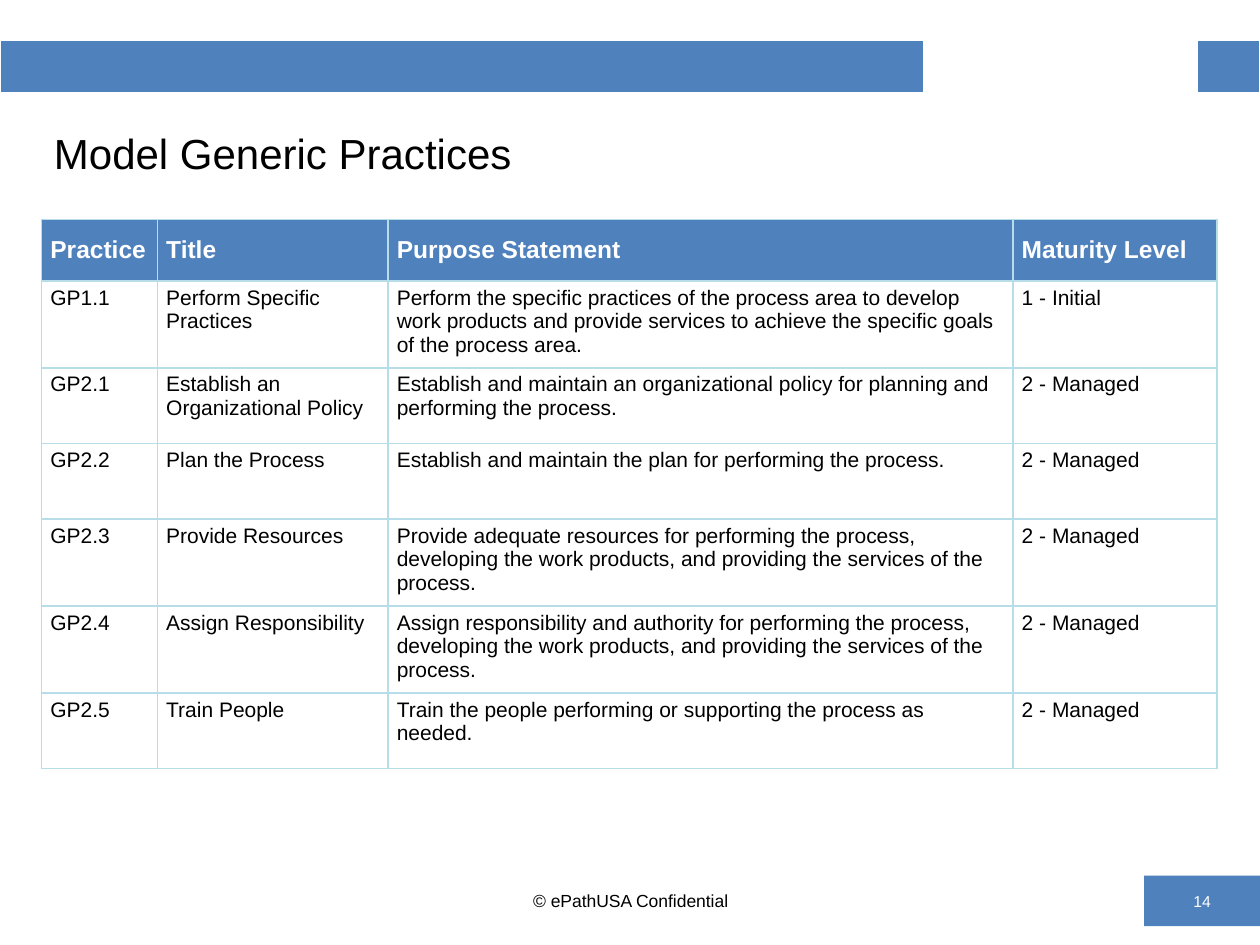
"""Build the Model Generic Practices slide."""
from dataclasses import dataclass

from lxml import etree
from pptx import Presentation
from pptx.dml.color import RGBColor
from pptx.enum.shapes import MSO_SHAPE
from pptx.enum.text import MSO_ANCHOR, PP_ALIGN
from pptx.oxml.ns import qn
from pptx.slide import Slide
from pptx.table import Table, _Cell
from pptx.text.text import TextFrame
from pptx.util import Inches, Pt

RECTANGLE = MSO_SHAPE.RECTANGLE
MIDDLE, TOP = MSO_ANCHOR.MIDDLE, MSO_ANCHOR.TOP
LEFT, CENTER = PP_ALIGN.LEFT, PP_ALIGN.CENTER
FONT = "Arial"
COLORS = {"blue": "4F81BD", "pale": "B7DEE8", "white": "FFFFFF", "black": "000000"}


@dataclass(frozen=True)
class Area:
    left: float
    top: float
    width: float
    height: float


@dataclass(frozen=True)
class TextStyle:
    size: int
    color: str = "black"
    bold: bool = False
    align: PP_ALIGN = LEFT
    anchor: MSO_ANCHOR = MIDDLE


@dataclass(frozen=True)
class Label:
    text: str
    area: Area
    style: TextStyle


@dataclass(frozen=True)
class Practice:
    code: str
    title: str
    purpose: str
    level: str = "2 - Managed"

    def texts(self) -> tuple[str, ...]:
        return self.code, self.title, self.purpose, self.level


HEADER_STYLE = TextStyle(14, "white", bold=True)
BODY_STYLE = TextStyle(12, anchor=TOP)
NUMBER_STYLE = TextStyle(9, "white", align=CENTER)
LABELS = (
    Label("Model Generic Practices", Area(0.33, 0.85, 9.33, 0.73), TextStyle(24)),
    Label("© ePathUSA Confidential", Area(3.42, 6.95, 3.17, 0.4), TextStyle(10, align=CENTER)),
)
HEADINGS = ("Practice", "Title", "Purpose Statement", "Maturity Level")
PRACTICES = (
    Practice(
        "GP1.1",
        "Perform Specific Practices",
        "Perform the specific practices of the process area to develop work products "
        "and provide services to achieve the specific goals of the process area.",
        "1 - Initial",
    ),
    Practice(
        "GP2.1",
        "Establish an Organizational Policy",
        "Establish and maintain an organizational policy for planning and performing the process.",
    ),
    Practice(
        "GP2.2",
        "Plan the Process",
        "Establish and maintain the plan for performing the process.",
    ),
    Practice(
        "GP2.3",
        "Provide Resources",
        "Provide adequate resources for performing the process, developing the work "
        "products, and providing the services of the process.",
    ),
    Practice(
        "GP2.4",
        "Assign Responsibility",
        "Assign responsibility and authority for performing the process, developing the "
        "work products, and providing the services of the process.",
    ),
    Practice(
        "GP2.5",
        "Train People",
        "Train the people performing or supporting the process as needed.",
    ),
)
BANNER_WIDTHS = (7.33, 2.17, 0.5)
PRACTICE_WIDTHS = (0.92, 1.83, 4.96, 1.62)
PRACTICE_HEIGHTS = (0.49, 0.69, 0.6, 0.6, 0.69, 0.69, 0.6)


def rgb(name: str) -> RGBColor:
    """Return a named colour."""
    return RGBColor.from_string(COLORS[name])


def write_text(frame: TextFrame, text: str, style: TextStyle) -> None:
    """Set the text of a frame and format it."""
    frame.text = text
    para = frame.paragraphs[0]
    para.alignment = style.align
    font = para.runs[0].font
    font.name, font.size, font.bold = FONT, Pt(style.size), style.bold
    font.color.rgb = rgb(style.color)


def add_label(slide: Slide, label: Label) -> None:
    """Add a wrapped text box."""
    area = label.area
    box = slide.shapes.add_textbox(
        Inches(area.left), Inches(area.top), Inches(area.width), Inches(area.height)
    )
    box.text_frame.word_wrap = True
    box.text_frame.vertical_anchor = label.style.anchor
    write_text(box.text_frame, label.text, label.style)


def add_page_number(slide: Slide, text: str) -> None:
    """Add the filled page number box."""
    box = slide.shapes.add_shape(
        RECTANGLE, Inches(9.08), Inches(6.95), Inches(0.92), Inches(0.4)
    )
    box.shadow.inherit = False
    box.fill.solid()
    box.fill.fore_color.rgb = rgb("blue")
    box.line.fill.background()
    box.text_frame.vertical_anchor = MIDDLE
    write_text(box.text_frame, text, NUMBER_STYLE)


def add_grid(
    slide: Slide, left: float, top: float, widths: tuple[float, ...], heights: tuple[float, ...]
) -> Table:
    """Add a table without banding and size its columns and rows."""
    table = slide.shapes.add_table(
        len(heights), len(widths),
        Inches(left), Inches(top), Inches(sum(widths)), Inches(sum(heights)),
    ).table
    table.first_row = table.horz_banding = False
    for column, width in zip(table.columns, widths):
        column.width = Inches(width)
    for row, height in zip(table.rows, heights):
        row.height = Inches(height)
    return table


def paint_cell(cell: _Cell, filled: bool, border: str, bottom: int = 1) -> None:
    """Give a cell its borders and its fill."""
    properties = cell._tc.get_or_add_tcPr()
    for side, points in (("L", 1), ("R", 1), ("T", 1), ("B", bottom)):
        line = etree.SubElement(properties, qn(f"a:ln{side}"), w=str(Pt(points)))
        solid = etree.SubElement(line, qn("a:solidFill"))
        etree.SubElement(solid, qn("a:srgbClr"), val=COLORS[border])
    if filled:
        cell.fill.solid()
        cell.fill.fore_color.rgb = rgb("blue")
    else:
        cell.fill.background()


def add_banner(slide: Slide) -> None:
    """Add the band across the top of the slide."""
    banner = add_grid(slide, 0, 0.32, BANNER_WIDTHS, (0.43,))
    for cell, filled in zip(banner.iter_cells(), (True, False, True)):
        paint_cell(cell, filled, "white", bottom=3)


def add_practices(slide: Slide) -> None:
    """Add the table of generic practices."""
    table = add_grid(slide, 0.33, 1.74, PRACTICE_WIDTHS, PRACTICE_HEIGHTS)
    rows = (HEADINGS, *(practice.texts() for practice in PRACTICES))
    for row_index, texts in enumerate(rows):
        is_header = row_index == 0
        style = HEADER_STYLE if is_header else BODY_STYLE
        for cell, text in zip(table.rows[row_index].cells, texts):
            cell.margin_left = cell.margin_right = Inches(0.07)
            cell.margin_top = cell.margin_bottom = Inches(0.04)
            cell.vertical_anchor = style.anchor
            write_text(cell.text_frame, text, style)
            paint_cell(cell, is_header, "pale")


def main() -> None:
    """Build and save the deck."""
    deck = Presentation()
    deck.slide_width, deck.slide_height = Inches(10), Inches(7.5)
    page = deck.slides.add_slide(deck.slide_layouts[6])
    add_banner(page)
    add_page_number(page, "14")
    for label in LABELS:
        add_label(page, label)
    add_practices(page)
    deck.save("out.pptx")


if __name__ == "__main__":
    main()
